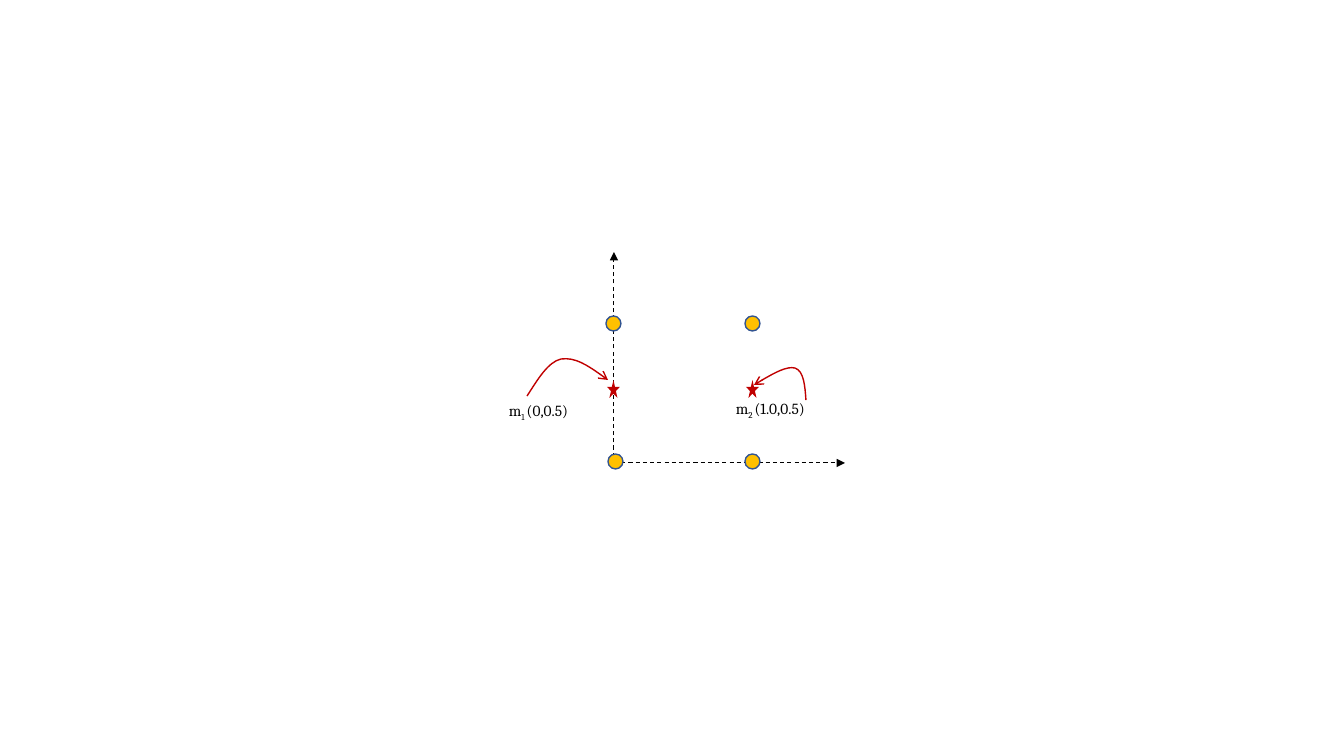
from lxml import etree
from pptx import Presentation
from pptx.dml.color import RGBColor
from pptx.enum.dml import MSO_LINE_DASH_STYLE
from pptx.enum.shapes import MSO_CONNECTOR_TYPE, MSO_SHAPE
from pptx.oxml.ns import qn
from pptx.util import Emu, Pt

EMU_PER_PX = 914400 / 100.8
DASH = MSO_LINE_DASH_STYLE.DASH
STRAIGHT = MSO_CONNECTOR_TYPE.STRAIGHT
OVAL = MSO_SHAPE.OVAL
STAR = MSO_SHAPE.STAR_5_POINT
BLACK, GOLD, BLUE, RED = "000000", "FFC000", "325491", "C00000"
FONT = "Cambria"


def px(length):
    """Turn pixels into EMU."""
    return Emu(round(length * EMU_PER_PX))


def color(hex_code):
    """Turn a hex string into a colour."""
    return RGBColor.from_string(hex_code)


def style_line(line, hex_code, points):
    """Set the colour and width of a line."""
    line.color.rgb = color(hex_code)
    line.width = Pt(points)


def add_arrowhead(shape, kind):
    """Put an arrowhead at the end of a stroke."""
    stroke = shape.element.spPr.find(qn("a:ln"))
    etree.SubElement(stroke, qn("a:tailEnd"), type=kind)


def add_axis(page, start, end):
    """Draw a dashed axis with a solid arrowhead."""
    axis = page.shapes.add_connector(STRAIGHT, *map(px, start + end))
    style_line(axis.line, BLACK, 0.75)
    axis.line.dash_style = DASH
    add_arrowhead(axis, "triangle")
    etree.SubElement(axis.element.spPr, qn("a:effectLst"))


def add_marker(page, kind, left, top, width, height, fill, outline=None):
    """Draw a filled marker, with an outline if one is given."""
    marker = page.shapes.add_shape(kind, *map(px, (left, top, width, height)))
    marker.shadow.inherit = False
    marker.fill.solid()
    marker.fill.fore_color.rgb = color(fill)
    if outline:
        style_line(marker.line, outline, 1)
    else:
        marker.line.fill.background()


def add_curved_arrow(page, start, *points):
    """Draw an arrow along cubic curves, three points to each curve."""
    builder = page.shapes.build_freeform(*start, scale=EMU_PER_PX)
    builder.add_line_segments(points, close=False)
    arrow = builder.convert_to_shape()
    segments = list(arrow.element.iter(qn("a:lnTo")))
    for first in range(0, len(segments), 3):
        curve = etree.Element(qn("a:cubicBezTo"))
        segments[first].addprevious(curve)
        for segment in segments[first:first + 3]:
            curve.append(segment[0])
            segment.getparent().remove(segment)
    arrow.shadow.inherit = False
    arrow.fill.background()
    style_line(arrow.line, RED, 1)
    add_arrowhead(arrow, "arrow")


def add_label(page, left, top, width, index, coordinates):
    """Write the name of a mean with its subscript and coordinates."""
    box = page.shapes.add_textbox(*map(px, (left, top, width, 41)))
    box.text_frame.word_wrap = True
    para = box.text_frame.paragraphs[0]
    para.line_spacing = 1.07
    para.space_after = Pt(8)
    for text, baseline in (("m", 0), (f"{index} ", -25000), (coordinates, 0)):
        span = para.add_run()
        span.text = text
        span.font.name = FONT
        span.font.size = Pt(11)
        span.font.color.rgb = color(BLACK)
        if baseline:
            span.font._element.set("baseline", str(baseline))


def main():
    """Build the slide with the points and their two means."""
    deck = Presentation()
    deck.slide_width, deck.slide_height = px(1344), px(756)
    page = deck.slides.add_slide(deck.slide_layouts[6])

    add_axis(page, (614, 464), (614, 252))
    add_axis(page, (614, 463), (845, 463))
    for left, top in ((608, 454), (606, 316), (745, 454), (745, 316)):
        add_marker(page, OVAL, left, top, 15, 15, GOLD, BLUE)
    for left in (607, 746):
        add_marker(page, STAR, left, 380, 13, 18, RED)
    add_label(page, 499, 395, 95, 1, "(0,0.5)")
    add_label(page, 726, 393, 102, 2, "(1.0,0.5)")
    add_curved_arrow(page, (527, 396), (538, 379), (548, 362), (561, 359),
                     (575, 357), (592, 368), (608, 380))
    add_curved_arrow(page, (806, 400), (805, 386), (804, 371), (795, 368),
                     (787, 366), (770, 375), (754, 385))
    deck.save("out.pptx")


if __name__ == "__main__":
    main()
